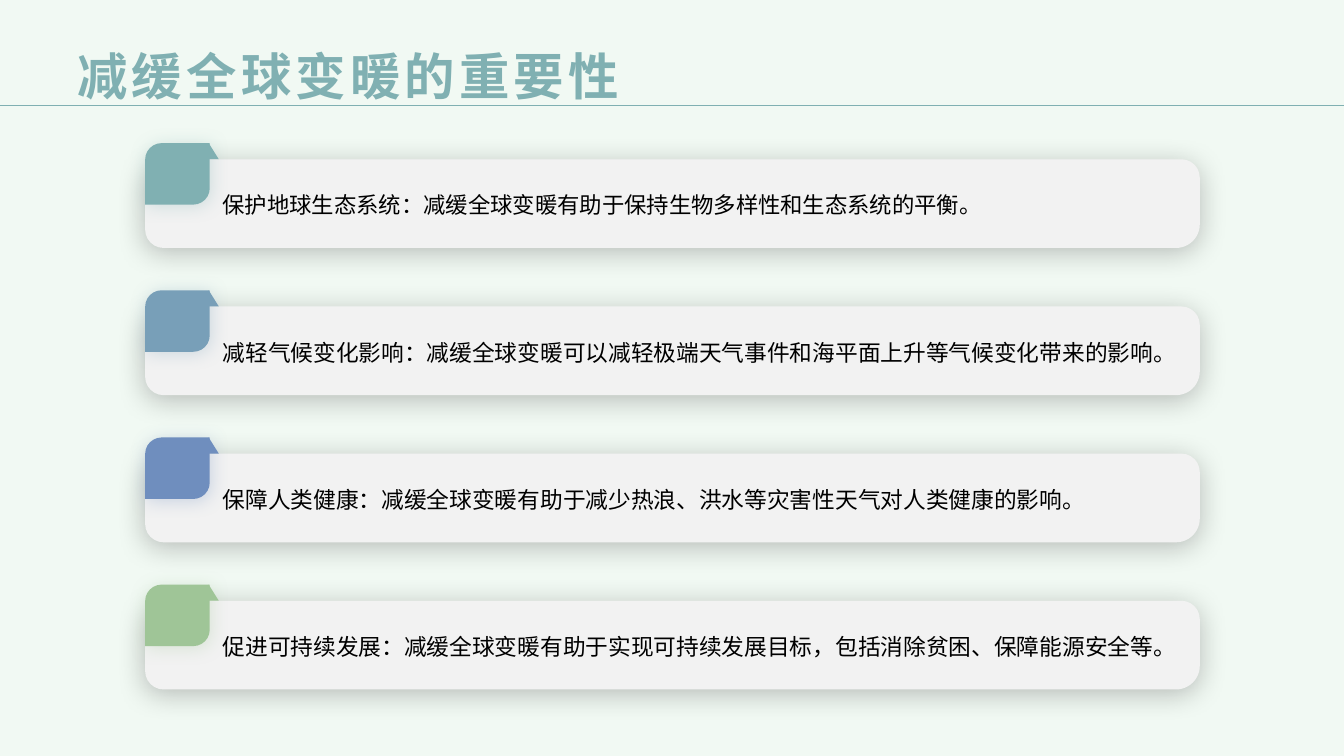
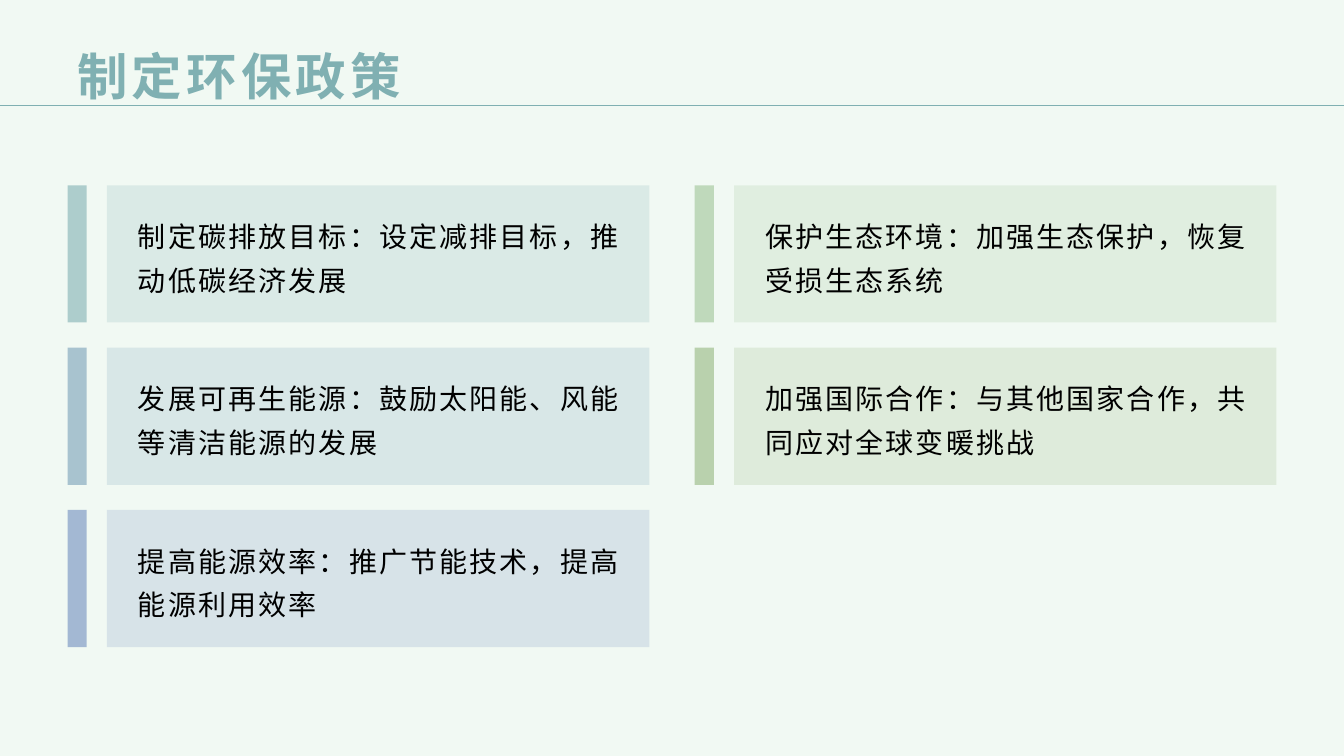
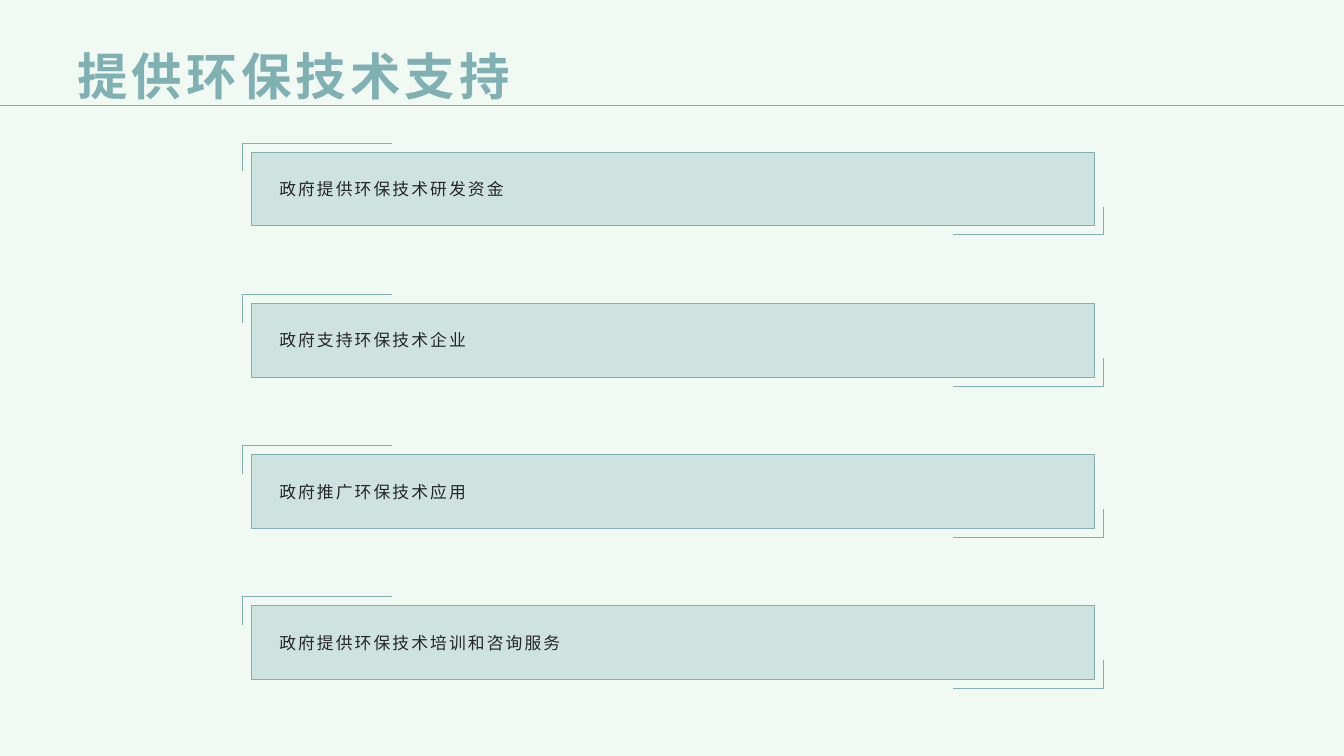
from lxml import etree
from pptx import Presentation
from pptx.dml.color import RGBColor
from pptx.enum import shapes, text
from pptx.oxml.ns import qn
from pptx.util import Inches, Pt

# Shared colours and fonts
MINT = RGBColor(0xF1, 0xF9, 0xF3)
TEAL = RGBColor(0x80, 0xB0, 0xB2)
STEEL = RGBColor(0x78, 0x9F, 0xB8)
BLUE = RGBColor(0x6F, 0x8E, 0xBE)
GREEN = RGBColor(0x9F, 0xC5, 0x97)
OLIVE = RGBColor(0x94, 0xB7, 0x7F)
GREY = RGBColor(0xF2, 0xF2, 0xF2)
INK = RGBColor(0x26, 0x26, 0x26)
BLACK = RGBColor(0, 0, 0)
CJK, BODY = "Noto Sans CJK SC", "Lato"
LINE_W = Pt(0.5)
SHAPE = shapes.MSO_SHAPE

# Content
IMPORTANCE = ("减缓全球变暖的重要性", [
    (TEAL, 16, "保护地球生态系统：减缓全球变暖有助于保持生物多样性和生态系统的平衡。"),
    (STEEL, 16.2, "减轻气候变化影响：减缓全球变暖可以减轻极端天气事件和海平面上升等气候变化带来的影响。"),
    (BLUE, 16.2, "保障人类健康：减缓全球变暖有助于减少热浪、洪水等灾害性天气对人类健康的影响。"),
    (GREEN, 16.2, "促进可持续发展：减缓全球变暖有助于实现可持续发展目标，包括消除贫困、保障能源安全等。"),
])
POLICIES = ("制定环保政策", [
    (TEAL, "制定碳排放目标：设定减排目标，推动低碳经济发展"),
    (STEEL, "发展可再生能源：鼓励太阳能、风能等清洁能源的发展"),
    (BLUE, "提高能源效率：推广节能技术，提高能源利用效率"),
    (GREEN, "保护生态环境：加强生态保护，恢复受损生态系统"),
    (OLIVE, "加强国际合作：与其他国家合作，共同应对全球变暖挑战"),
])
SUPPORT = ("提供环保技术支持", [
    "政府提供环保技术研发资金",
    "政府支持环保技术企业",
    "政府推广环保技术应用",
    "政府提供环保技术培训和咨询服务",
])


# Helpers
def write(sp, words, size, color, font=BODY, bold=False, spacing=0,
          leading=None, insets=(0.1, 0.05, 0.1, 0.05)):
    tf = sp.text_frame
    tf.word_wrap = True
    tf.vertical_anchor = text.MSO_ANCHOR.MIDDLE
    (tf.margin_left, tf.margin_top,
     tf.margin_right, tf.margin_bottom) = map(Inches, insets)
    p = tf.paragraphs[0]
    p.alignment = text.PP_ALIGN.LEFT
    if leading:
        p.line_spacing = leading
    r = p.add_run()
    r.text = words
    r.font.size, r.font.bold, r.font.name = Pt(size), bold, font
    r.font.color.rgb = color
    rpr = r.font._element
    etree.SubElement(rpr, qn("a:ea")).set("typeface", CJK)
    if spacing:
        rpr.set("spc", str(int(spacing * 100)))


def add_text(s, box, words, size, color, **style):
    write(s.shapes.add_textbox(*map(Inches, box)), words, size, color, **style)


def add_block(s, kind, box, color, opacity=100, line=None, adj=()):
    sp = s.shapes.add_shape(kind, *map(Inches, box))
    sp.shadow.inherit = False
    sp.fill.solid()
    sp.fill.fore_color.rgb = color
    if opacity < 100:
        clr = sp._element.spPr.find(qn("a:solidFill"))[0]
        etree.SubElement(clr, qn("a:alpha")).set("val", str(opacity * 1000))
    if line is None:
        sp.line.fill.background()
    else:
        sp.line.color.rgb = line
        sp.line.width = LINE_W
    for i, value in enumerate(adj):
        sp.adjustments[i] = value
    return sp


def add_shadow(sp, color, opacity, blur, dist, angle):
    effects = sp._element.spPr.find(qn("a:effectLst"))
    shadow = etree.SubElement(
        effects, qn("a:outerShdw"), blurRad=str(Pt(blur)), dist=str(Pt(dist)),
        dir=str(angle * 60000), algn="ctr", rotWithShape="0")
    clr = etree.SubElement(shadow, qn("a:srgbClr"), val=str(color))
    etree.SubElement(clr, qn("a:alpha"), val=str(opacity * 1000))


def add_bracket(s, points):
    start, *rest = [(Inches(x), Inches(y)) for x, y in points]
    builder = s.shapes.build_freeform(*start)
    builder.add_line_segments(rest, close=False)
    sp = builder.convert_to_shape()
    sp.shadow.inherit = False
    sp.fill.background()
    sp.line.color.rgb = TEAL
    sp.line.width = LINE_W


def new_slide(prs, title):
    s = prs.slides.add_slide(prs.slide_layouts[6])
    rule_y = Inches(1.05)
    rule = s.shapes.add_connector(shapes.MSO_CONNECTOR.STRAIGHT,
                                  0, rule_y, prs.slide_width, rule_y)
    rule.line.color.rgb = TEAL
    rule.line.width = LINE_W
    etree.SubElement(rule._element.spPr, qn("a:effectLst"))
    add_text(s, (0.67, 0.36, 12, 0.77), title, 36, TEAL,
             font=CJK, bold=True, spacing=3)
    return s


# Slides
def importance_slide(prs):
    title, rows = IMPORTANCE
    s = new_slide(prs, title)
    left = 1.44
    for i, (color, size, words) in enumerate(rows):
        top = 1.58 + i * 1.46
        tab_top = top - 0.16
        card = add_block(s, SHAPE.ROUND_2_DIAG_RECTANGLE,
                         (left, top, 10.46, 0.88), GREY, adj=(0.267, 0.208))
        add_shadow(card, BLACK, 23, 20, 3, 107)
        tab = add_block(s, SHAPE.ROUND_2_DIAG_RECTANGLE,
                        (left, tab_top, 0.64, 0.61), color, adj=(0.267, 0))
        add_shadow(tab, color, 31, 13, 2, 45)
        add_block(s, SHAPE.RIGHT_TRIANGLE,
                  (left + 0.63, tab_top, 0.1, 0.16), color)
        add_text(s, (left + 0.67, top + 0.01, 9.45, 0.87), words, size, BLACK,
                 leading=1.5, insets=(0.1, 0, 0.1, 0.12))


def policies_slide(prs):
    title, cards = POLICIES
    s = new_slide(prs, title)
    for i, (color, words) in enumerate(cards):
        col, row = divmod(i, 3)
        left, top = 0.67 + col * 6.22, 1.84 + row * 1.61
        add_block(s, SHAPE.RECTANGLE, (left + 0.39, top, 5.38, 1.36), color, 20)
        add_block(s, SHAPE.RECTANGLE, (left, top, 0.19, 1.36), color, 60)
        add_text(s, (left + 0.6, top + 0.11, 5.05, 1.12), words, 20, BLACK,
                 spacing=1.5, leading=1.3)


def support_slide(prs):
    title, bars = SUPPORT
    s = new_slide(prs, title)
    left, width, height = 2.49, 8.36, 0.73
    gap, arm_w, arm_h = 0.09, 1.49, 0.28
    for i, words in enumerate(bars):
        top = 1.51 + i * 1.5
        bar = add_block(s, SHAPE.RECTANGLE, (left, top, width, height),
                        TEAL, 30, line=TEAL)
        write(bar, words, 12, INK, spacing=1.5, insets=(0.28, 0.05, 0.1, 0.05))
        # Corner brackets at top left and bottom right
        for x, y, inward in ((left - gap, top - gap, 1),
                             (left + width + gap, top + height + gap, -1)):
            add_bracket(s, [(x, y + inward * arm_h), (x, y),
                            (x + inward * arm_w, y)])


def main():
    prs = Presentation()
    prs.slide_width, prs.slide_height = Inches(13.33), Inches(7.5)
    fill = prs.slide_master.background.fill
    fill.solid()
    fill.fore_color.rgb = MINT
    importance_slide(prs)
    policies_slide(prs)
    support_slide(prs)
    prs.save("out.pptx")


if __name__ == "__main__":
    main()
